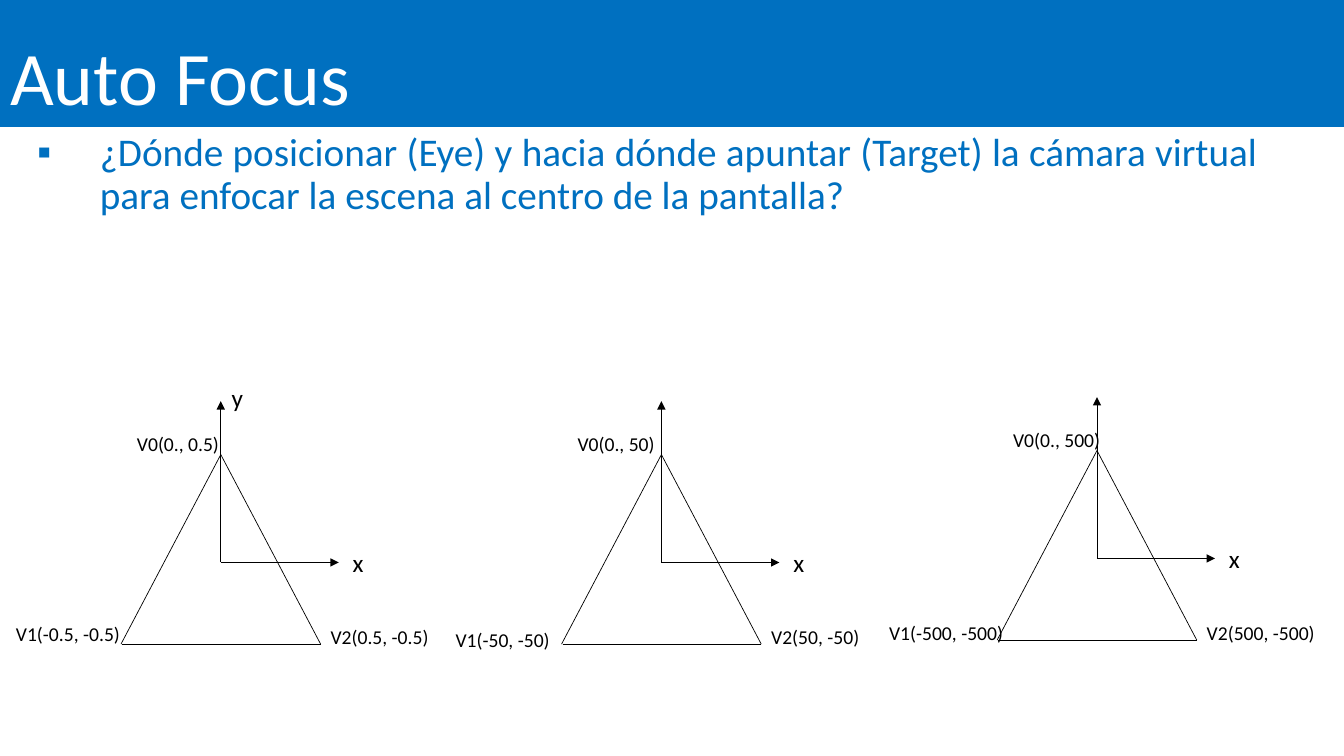
from lxml.etree import SubElement
from pptx import Presentation
from pptx.dml.color import RGBColor
from pptx.enum.shapes import MSO_CONNECTOR
from pptx.enum.text import MSO_ANCHOR, MSO_AUTO_SIZE, PP_ALIGN
from pptx.oxml.ns import qn
from pptx.util import Inches, Pt


def add_text(frame, text, size, color):
    paragraph = frame.paragraphs[0]
    run = paragraph.add_run()
    run.text = text
    run.font.size = Pt(size)
    run.font.name = "Calibri"
    run.font.color.rgb = RGBColor.from_string(color)
    return paragraph


def add_line(x1, y1, x2, y2, arrow=False):
    line = slide.shapes.add_connector(
        MSO_CONNECTOR.STRAIGHT, Inches(x1), Inches(y1), Inches(x2), Inches(y2))
    line.line.width = Pt(0.5)
    line.line.color.rgb = RGBColor.from_string("000000")
    properties = line._element.spPr
    if arrow:
        SubElement(properties.find(qn("a:ln")), qn("a:tailEnd"), type="triangle")
    SubElement(properties, qn("a:effectLst"))


presentation = Presentation()
presentation.slide_width = Inches(13.33)
presentation.slide_height = Inches(7.5)
slide = presentation.slides.add_slide(presentation.slide_layouts[0])

title = slide.shapes.title
body = slide.placeholders[1]
for shape, left, top, width, height, fill, anchor in [
    (title, 0, 0, 13.33, 1.26, "0070C0", MSO_ANCHOR.BOTTOM),
    (body, 0.27, 1.27, 12.3, 3.44, "FFFFFF", MSO_ANCHOR.TOP),
]:
    shape.left, shape.top = Inches(left), Inches(top)
    shape.width, shape.height = Inches(width), Inches(height)
    shape.fill.solid()
    shape.fill.fore_color.rgb = RGBColor.from_string(fill)
    shape.text_frame.word_wrap = True
    shape.text_frame.auto_size = MSO_AUTO_SIZE.NONE
    shape.text_frame.vertical_anchor = anchor

heading = add_text(title.text_frame, "Auto Focus", 54, "FFFFFF")
heading.alignment = PP_ALIGN.LEFT
heading.line_spacing = 0.9

question = add_text(
    body.text_frame,
    "¿Dónde posicionar (Eye) y hacia dónde apuntar (Target) la cámara virtual "
    "para enfocar la escena al centro de la pantalla?", 28, "0070C0")
question.alignment = PP_ALIGN.JUSTIFY
question.line_spacing = 0.9
question.space_before = Pt(10)
bullet = question._p.get_or_add_pPr()
bullet.set("marL", str(Inches(0.62)))
bullet.set("indent", str(Inches(-0.62)))
SubElement(bullet, qn("a:buFont"), typeface="Calibri")
SubElement(bullet, qn("a:buChar"), char="▪")

triangles = [
    (2.19, 4.51, "0.5", 1.02, (0.06, 6.12, 1.24), 1.18),
    (6.56, 4.51, "50", 0.98, (4.42, 6.18, 1.15), 1.09),
    (10.88, 4.47, "500", 1.07, (8.72, 6.11, 1.34), 1.29),
]
labels = [("y", 2.2, 3.74, 0.32, 0.4, 18)]
for x, y, size, top_width, (left_x, left_y, left_width), right_width in triangles:
    base = y + 1.88
    origin = y + 1.07
    add_line(x, y, x - 0.99, base)
    add_line(x, y, x + 0.99, base)
    add_line(x - 0.98, base, x + 0.99, base)
    add_line(x, origin, x, y - 0.53, arrow=True)
    add_line(x, origin, x + 1.17, origin, arrow=True)
    labels += [
        (f"V0(0., {size})", x - 0.93, y - 0.27, top_width, 0.34, 14),
        (f"V1(-{size}, -{size})", left_x, left_y, left_width, 0.34, 14),
        (f"V2({size}, -{size})", x + 0.99, y + 1.64, right_width, 0.34, 14),
        ("x", x + 1.21, y + 0.87, 0.31, 0.4, 18),
    ]

for text, left, top, width, height, size in labels:
    label = slide.shapes.add_textbox(
        Inches(left), Inches(top), Inches(width), Inches(height))
    label.text_frame.word_wrap = False
    label.text_frame.auto_size = MSO_AUTO_SIZE.SHAPE_TO_FIT_TEXT
    add_text(label.text_frame, text, size, "000000")

presentation.save("out.pptx")
